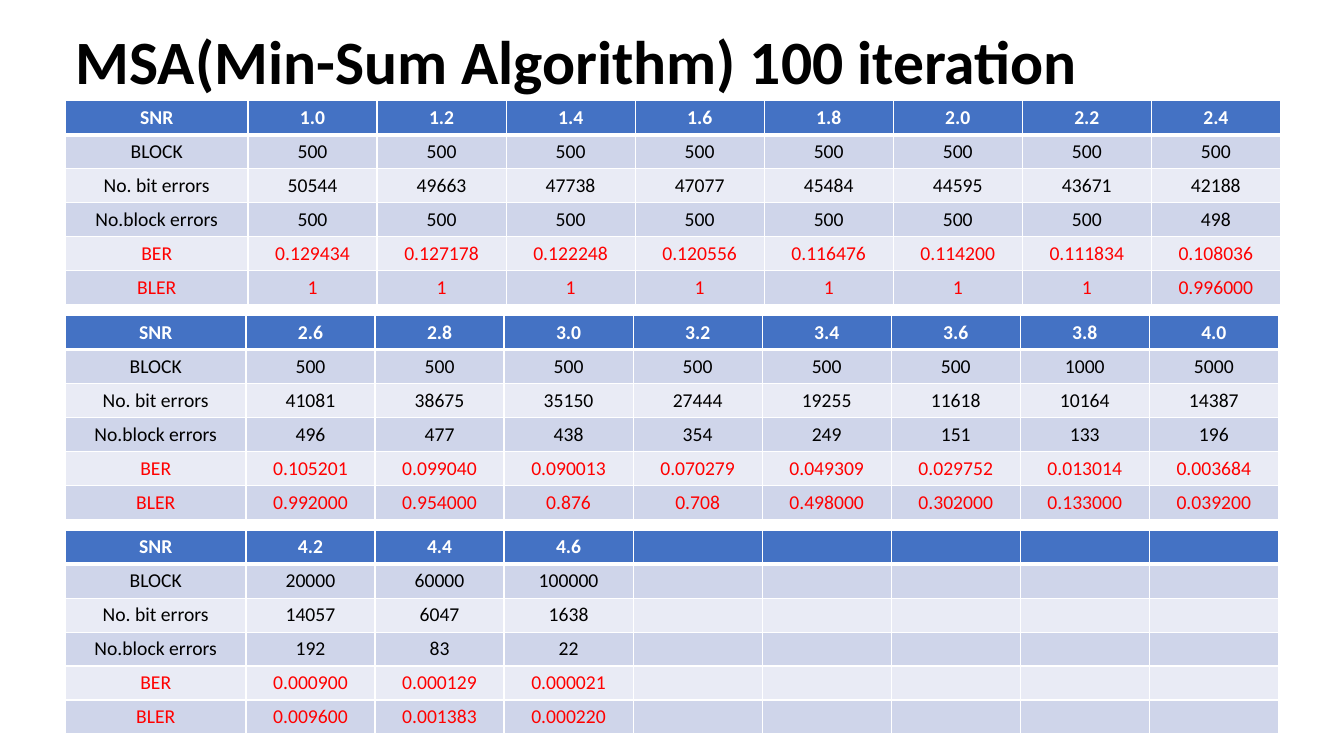
from dataclasses import dataclass

from lxml.etree import SubElement
from pptx import Presentation
from pptx.dml.color import RGBColor
from pptx.enum.text import MSO_ANCHOR, MSO_AUTO_SIZE, PP_ALIGN
from pptx.oxml.ns import qn
from pptx.util import Inches, Pt


@dataclass(frozen=True)
class Theme:
    font: str = "Calibri"
    title_size: int = 44
    table_size: int = 14
    black: str = "000000"
    white: str = "FFFFFF"
    red: str = "FF0000"
    header: str = "4472C4"
    dark_band: str = "CFD5EA"
    light_band: str = "E9EBF5"
    thin_line: int = 1
    thick_line: int = 3


THEME = Theme()

# Table layout, in inches
LEFT = 0.65
FIRST_TOP = 1.0
TABLE_STEP = 2.13
ROW_HEIGHT = 0.33
VALUE_WIDTH = 1.28
VALUE_COLUMNS = 8

ROW_LABELS = ["SNR", "BLOCK", "No. bit errors", "No.block errors", "BER", "BLER"]
RATE_LABELS = {"BER", "BLER"}

# Label column width and the values of each table, row by row
RESULTS = [
    (1.81, [
        "1.0 1.2 1.4 1.6 1.8 2.0 2.2 2.4",
        "500 500 500 500 500 500 500 500",
        "50544 49663 47738 47077 45484 44595 43671 42188",
        "500 500 500 500 500 500 500 498",
        "0.129434 0.127178 0.122248 0.120556 0.116476 0.114200 0.111834 0.108036",
        "1 1 1 1 1 1 1 0.996000",
    ]),
    (1.79, [
        "2.6 2.8 3.0 3.2 3.4 3.6 3.8 4.0",
        "500 500 500 500 500 500 1000 5000",
        "41081 38675 35150 27444 19255 11618 10164 14387",
        "496 477 438 354 249 151 133 196",
        "0.105201 0.099040 0.090013 0.070279 0.049309 0.029752 0.013014 0.003684",
        "0.992000 0.954000 0.876 0.708 0.498000 0.302000 0.133000 0.039200",
    ]),
    (1.79, [
        "4.2 4.4 4.6",
        "20000 60000 100000",
        "14057 6047 1638",
        "192 83 22",
        "0.000900 0.000129 0.000021",
        "0.009600 0.001383 0.000220",
    ]),
]


def style_run(run, size, color, bold):
    run.font.name = THEME.font
    run.font.size = Pt(size)
    run.font.color.rgb = RGBColor.from_string(color)
    run.font.bold = bold


def add_title(slide, text):
    title = slide.shapes.title
    title.left, title.top = Inches(LEFT), Inches(0.11)
    title.width, title.height = Inches(10.33), Inches(1.06)
    frame = title.text_frame
    frame.text = text
    frame.word_wrap = True
    frame.auto_size = MSO_AUTO_SIZE.NONE
    frame.vertical_anchor = MSO_ANCHOR.MIDDLE
    paragraph = frame.paragraphs[0]
    paragraph.alignment = PP_ALIGN.LEFT
    paragraph.line_spacing = 0.9
    style_run(paragraph.runs[0], THEME.title_size, THEME.black, True)


def set_borders(cell, row):
    """White cell lines, with a thick one under the header row."""
    widths = {"a:lnL": THEME.thin_line, "a:lnR": THEME.thin_line,
              "a:lnT": THEME.thick_line if row == 1 else THEME.thin_line,
              "a:lnB": THEME.thick_line if row == 0 else THEME.thin_line}
    properties = cell._tc.get_or_add_tcPr()
    for tag, width in widths.items():
        line = SubElement(properties, qn(tag), w=str(Pt(width)))
        fill = SubElement(line, qn("a:solidFill"))
        SubElement(fill, qn("a:srgbClr"), val=THEME.white)


def fill_cell(cell, text, row):
    set_borders(cell, row)
    band = THEME.dark_band if row % 2 else THEME.light_band
    cell.fill.solid()
    cell.fill.fore_color.rgb = RGBColor.from_string(THEME.header if row == 0 else band)

    paragraph = cell.text_frame.paragraphs[0]
    paragraph.alignment = PP_ALIGN.CENTER
    if not text:
        # Keeps an empty cell from growing its row
        SubElement(paragraph._p, qn("a:endParaRPr"), sz=str(THEME.table_size * 100))
        return
    paragraph.text = text
    if row == 0:
        color = THEME.white
    else:
        color = THEME.red if ROW_LABELS[row] in RATE_LABELS else THEME.black
    style_run(paragraph.runs[0], THEME.table_size, color, row == 0)


def add_result_table(slide, top, label_width, value_rows):
    width = label_width + VALUE_COLUMNS * VALUE_WIDTH
    table = slide.shapes.add_table(
        len(ROW_LABELS), VALUE_COLUMNS + 1, Inches(LEFT), Inches(top),
        Inches(width), Inches(ROW_HEIGHT * len(ROW_LABELS))).table
    for index, column in enumerate(table.columns):
        column.width = Inches(VALUE_WIDTH if index else label_width)
    for row, (label, values) in enumerate(zip(ROW_LABELS, value_rows)):
        table.rows[row].height = Inches(ROW_HEIGHT)
        texts = [label] + values.split()
        texts += [""] * (VALUE_COLUMNS + 1 - len(texts))
        for column, text in enumerate(texts):
            fill_cell(table.cell(row, column), text, row)


def main():
    presentation = Presentation()
    presentation.slide_width, presentation.slide_height = Inches(13.33), Inches(7.5)
    slide = presentation.slides.add_slide(presentation.slide_layouts[5])

    add_title(slide, "MSA(Min-Sum Algorithm) 100 iteration")
    for index, (label_width, value_rows) in enumerate(RESULTS):
        add_result_table(slide, FIRST_TOP + index * TABLE_STEP, label_width, value_rows)

    presentation.save("out.pptx")


if __name__ == "__main__":
    main()
